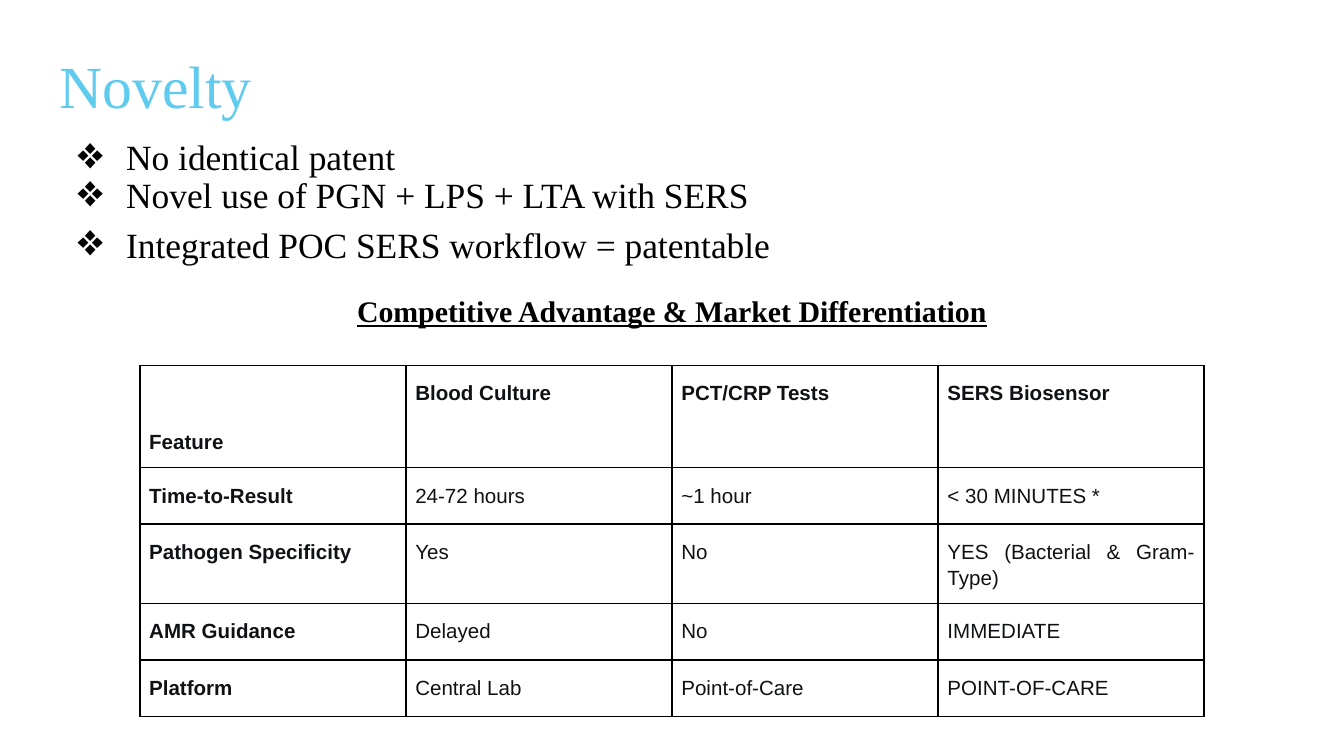
from lxml import etree
from pptx import Presentation
from pptx import util as u
from pptx.dml.color import RGBColor
from pptx.enum import text
from pptx.oxml.ns import qn

WIDE = 10
HIGH = WIDE * 9 / 16
SERIF, SANS = "Times New Roman", "Arial"
COLORS = {"title": "5FCBEF", "body": "000000", "cell": "0F1115", "rule": "000000"}

TITLE = "Novelty"
POINTS = [  # wording, line spacing
    ("No identical patent", 0.9),
    ("Novel use of PGN + LPS + LTA with SERS", 0.9),
    ("Integrated POC SERS workflow = patentable", 1.15),
]
HEADING = "Competitive Advantage & Market Differentiation"
ROWS = [
    ("Feature", "Blood Culture", "PCT/CRP Tests", "SERS Biosensor"),
    ("Time-to-Result", "24-72 hours", "~1 hour", "< 30 MINUTES *"),
    ("Pathogen Specificity", "Yes", "No", "YES (Bacterial & Gram-Type)"),
    ("AMR Guidance", "Delayed", "No", "IMMEDIATE"),
    ("Platform", "Central Lab", "Point-of-Care", "POINT-OF-CARE"),
]
HEIGHTS = [0.76, 0.42, 0.59, 0.42, 0.42]

MARGIN, PAD = 0.34, 0.1
COLUMN = 1.98
GRID_W = COLUMN * len(ROWS[0])
GRID_X, GRID_Y = (WIDE - GRID_W) / 2, 2.72


def write(para, words, size, face, color, bold=False, line=False):
    run = para.add_run()
    run.text = words
    font = run.font
    font.size, font.name = u.Pt(size), face
    font.bold, font.underline = bold, line
    font.color.rgb = RGBColor.from_string(COLORS[color])


def inset(box, side):
    """Set the inner margins of a cell or a text frame."""
    box.margin_left = box.margin_right = u.Inches(side)
    box.margin_top = box.margin_bottom = u.Inches(PAD)


def place(shape, top, height):
    """Span the slide between its side margins and return the text frame."""
    shape.left, shape.top = u.Inches(MARGIN), u.Inches(top)
    shape.width, shape.height = u.Inches(WIDE - 2 * MARGIN), u.Inches(height)
    frame = shape.text_frame
    frame.word_wrap = True
    frame.auto_size = text.MSO_AUTO_SIZE.NONE
    frame.vertical_anchor = text.MSO_ANCHOR.TOP
    inset(frame, PAD)
    return frame


def bullet(para):
    props = para._p.get_or_add_pPr()
    props.set("marL", str(u.Inches(0.5)))
    props.set("indent", str(u.Inches(-0.37)))
    tint = etree.SubElement(props, qn("a:buClr"))
    etree.SubElement(tint, qn("a:srgbClr"), val=COLORS["body"])
    etree.SubElement(props, qn("a:buFont"), typeface=SERIF)
    etree.SubElement(props, qn("a:buChar"), char="❖")


def border(cell):
    props = cell._tc.get_or_add_tcPr()
    for spot, side in enumerate(("lnL", "lnR", "lnT", "lnB")):
        edge = etree.Element(qn("a:" + side), w=str(u.Pt(1)))
        fill = etree.SubElement(edge, qn("a:solidFill"))
        etree.SubElement(fill, qn("a:srgbClr"), val=COLORS["rule"])
        props.insert(spot, edge)


def add_title(slide):
    para = place(slide.shapes.title, 0.26, 0.63).paragraphs[0]
    para.alignment = text.PP_ALIGN.LEFT
    write(para, TITLE, 32, SERIF, "title")


def add_body(slide):
    frame = place(slide.shapes.add_textbox(0, 0, 0, 0), 0.94, 3.74)
    for i, (words, gap) in enumerate(POINTS):
        para = frame.add_paragraph() if i else frame.paragraphs[0]
        para.line_spacing = gap
        bullet(para)
        write(para, words, 19, SERIF, "body")
    para = frame.add_paragraph()
    para.alignment = text.PP_ALIGN.CENTER
    para.line_spacing, para.space_before = 1.15, u.Pt(12)
    write(para, HEADING, 16, SERIF, "body", bold=True, line=True)


def add_grid(slide):
    sizes = [u.Inches(n) for n in (GRID_X, GRID_Y, GRID_W, sum(HEIGHTS))]
    table = slide.shapes.add_table(len(ROWS), len(ROWS[0]), *sizes).table
    table.first_row = table.horz_banding = False
    for column in table.columns:
        column.width = u.Inches(COLUMN)
    for r, (row, height) in enumerate(zip(ROWS, HEIGHTS)):
        table.rows[r].height = u.Inches(height)
        for c, words in enumerate(row):
            cell = table.cell(r, c)
            cell.fill.background()
            border(cell)
            inset(cell, 0.07)
            para = cell.text_frame.paragraphs[0]
            para.alignment = text.PP_ALIGN.JUSTIFY
            para.line_spacing = 1.15
            write(para, words, 11, SANS, "cell", bold=r == 0 or c == 0)
    table.cell(0, 0).vertical_anchor = text.MSO_ANCHOR.BOTTOM


def main():
    deck = Presentation()
    deck.slide_width, deck.slide_height = u.Inches(WIDE), u.Inches(HIGH)
    slide = deck.slides.add_slide(deck.slide_layouts[5])
    add_title(slide)
    add_body(slide)
    add_grid(slide)
    deck.save("out.pptx")


if __name__ == "__main__":
    main()
